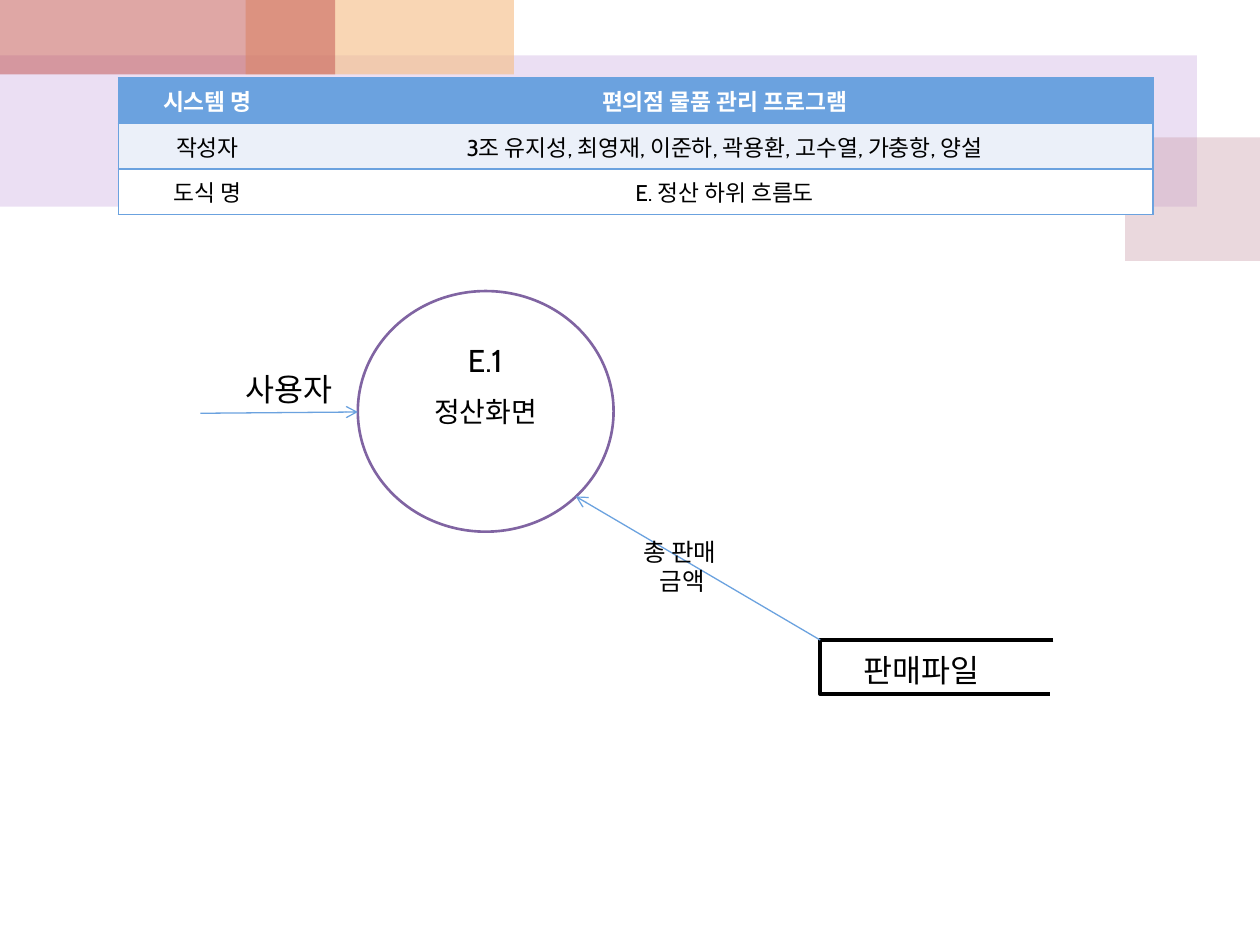
from lxml.etree import SubElement
from pptx import Presentation
from pptx.dml.color import RGBColor
from pptx.enum.shapes import MSO_CONNECTOR as CONNECTOR, MSO_SHAPE as SHAPE
from pptx.enum.text import MSO_ANCHOR as ANCHOR, PP_ALIGN as ALIGN
from pptx.oxml.ns import qn
from pptx.util import Pt

PX = 9144  # 100 px to the inch
FONT = "Cabin"
BLACK = RGBColor(0x00, 0x00, 0x00)
WHITE = RGBColor(0xFF, 0xFF, 0xFF)
BLUE = RGBColor(0x6B, 0xA2, 0xDF)
PALE_BLUE = RGBColor(0xEB, 0xF0, 0xF9)
PURPLE = RGBColor(0x80, 0x64, 0xA2)
LILAC = RGBColor(0xBF, 0x98, 0xD8)
ROSE = RGBColor(0xCC, 0x9E, 0xAC)
ORANGE = RGBColor(0xF5, 0xBC, 0x83)
RED = RGBColor(0xC0, 0x50, 0x4D)

HEADER_ROWS = [
    ("시스템 명", "편의점 물품 관리 프로그램"),
    ("작성자", "3조 유지성, 최영재, 이준하, 곽용환, 고수열, 가충항, 양설"),
    ("도식 명", "E. 정산 하위 흐름도"),
]
ROW_FILLS = [BLUE, PALE_BLUE, WHITE]


def emu(*lengths):
    return [length * PX for length in lengths]


def write_text(text_frame, text, size, color=BLACK, bold=False):
    text_frame.text = text
    text_frame.word_wrap = True
    for paragraph in text_frame.paragraphs:
        paragraph.alignment = ALIGN.CENTER
        for run in paragraph.runs:
            run.font.name = FONT
            run.font.size = Pt(size)
            run.font.bold = bold
            run.font.color.rgb = color


def add_label(slide, box, text, size):
    text_frame = slide.shapes.add_textbox(*emu(*box)).text_frame
    write_text(text_frame, text, size)
    text_frame.vertical_anchor = ANCHOR.MIDDLE
    text_frame.margin_left = text_frame.margin_right = 0


def add_arrow(slide, start, end):
    arrow = slide.shapes.add_connector(CONNECTOR.STRAIGHT, *emu(*start, *end))
    arrow.line.color.rgb = BLUE
    arrow.line.width = Pt(0.75)
    SubElement(arrow.line._get_or_add_ln(), qn("a:tailEnd"), type="arrow")
    SubElement(arrow._element.spPr, qn("a:effectLst"))


def add_backdrop(slide):
    """Translucent colour bands along the top."""
    bands = [
        ((0, 44, 950, 120), LILAC, 30),
        ((893, 109, 107, 98), ROSE, 40),
        ((195, 0, 213, 59), ORANGE, 60),
        ((0, 0, 266, 59), RED, 50),
    ]
    for box, color, opacity in bands:
        band = slide.shapes.add_shape(SHAPE.RECTANGLE, *emu(*box))
        band.shadow.inherit = False
        band.line.fill.background()
        band.fill.solid()
        band.fill.fore_color.rgb = color
        color_element = band._element.spPr.find(qn("a:solidFill"))[0]
        SubElement(color_element, qn("a:alpha"), val=str(opacity * 1000))


def set_borders(cell, sides):
    """Draw the named sides; must run before the cell is filled."""
    properties = cell._tc.get_or_add_tcPr()
    for side in ("L", "R", "T", "B"):
        line = SubElement(properties, qn(f"a:ln{side}"), w=str(Pt(1)))
        if side in sides:
            fill = SubElement(line, qn("a:solidFill"))
            SubElement(fill, qn("a:srgbClr"), val=str(BLUE))
        else:
            SubElement(line, qn("a:noFill"))


def add_header_table(slide, left, top, label_width, value_width, row_height):
    width, height = label_width + value_width, row_height * len(HEADER_ROWS)
    frame = slide.shapes.add_table(len(HEADER_ROWS), 2, *emu(left, top, width, height))
    table = frame.table
    table.columns[0].width, table.columns[1].width = emu(label_width, value_width)
    for row, (texts, fill) in enumerate(zip(HEADER_ROWS, ROW_FILLS)):
        is_heading = row == 0
        for column, text in enumerate(texts):
            cell = table.cell(row, column)
            set_borders(cell, "TBL" if column == 0 else "TBR")
            cell.fill.solid()
            cell.fill.fore_color.rgb = fill
            cell.vertical_anchor = ANCHOR.MIDDLE
            write_text(cell.text_frame, text, 13, WHITE if is_heading else BLACK, is_heading)


def add_data_store(slide, left, top, width, height):
    """Box open on the right, with its name inside."""
    bottom = top + height
    builder = slide.shapes.build_freeform(left + width, top, scale=PX)
    builder.add_line_segments(
        [(left, top), (left, bottom), (left + width - 3, bottom)], close=False)
    outline = builder.convert_to_shape()
    outline.shadow.inherit = False
    outline.fill.background()
    outline.line.color.rgb = BLACK
    outline.line.width = Pt(2.25)
    add_label(slide, (left + 10, top + 4, 141, 39), "판매파일", 18)


def add_process(slide, left, top, width, height):
    """Numbered process circle."""
    circle = slide.shapes.add_shape(SHAPE.OVAL, *emu(left, top, width, height))
    circle.shadow.inherit = False
    circle.fill.solid()
    circle.fill.fore_color.rgb = WHITE
    circle.line.color.rgb = PURPLE
    circle.line.width = Pt(1.5)
    write_text(circle.text_frame, "정산화면", 16)
    circle.text_frame.vertical_anchor = ANCHOR.MIDDLE
    add_label(slide, (left + 70, top + 35, 62, 39), "E.1", 18)


def main():
    presentation = Presentation()
    presentation.slide_width, presentation.slide_height = emu(1000, 750)
    slide = presentation.slides.add_slide(presentation.slide_layouts[6])

    add_backdrop(slide)
    add_header_table(slide, 94, 62, 141, 680, 36)

    # Flow diagram
    add_data_store(slide, 651, 508, 185, 43)
    add_process(slide, 284, 231, 203, 191)
    add_arrow(slide, (159, 328), (284, 327))
    add_label(slide, (159, 289, 141, 39), "사용자", 18)
    add_arrow(slide, (651, 508), (457, 394))
    add_label(slide, (469, 430, 141, 39), "총 판매\n 금액", 14)

    presentation.save("out.pptx")


if __name__ == "__main__":
    main()
